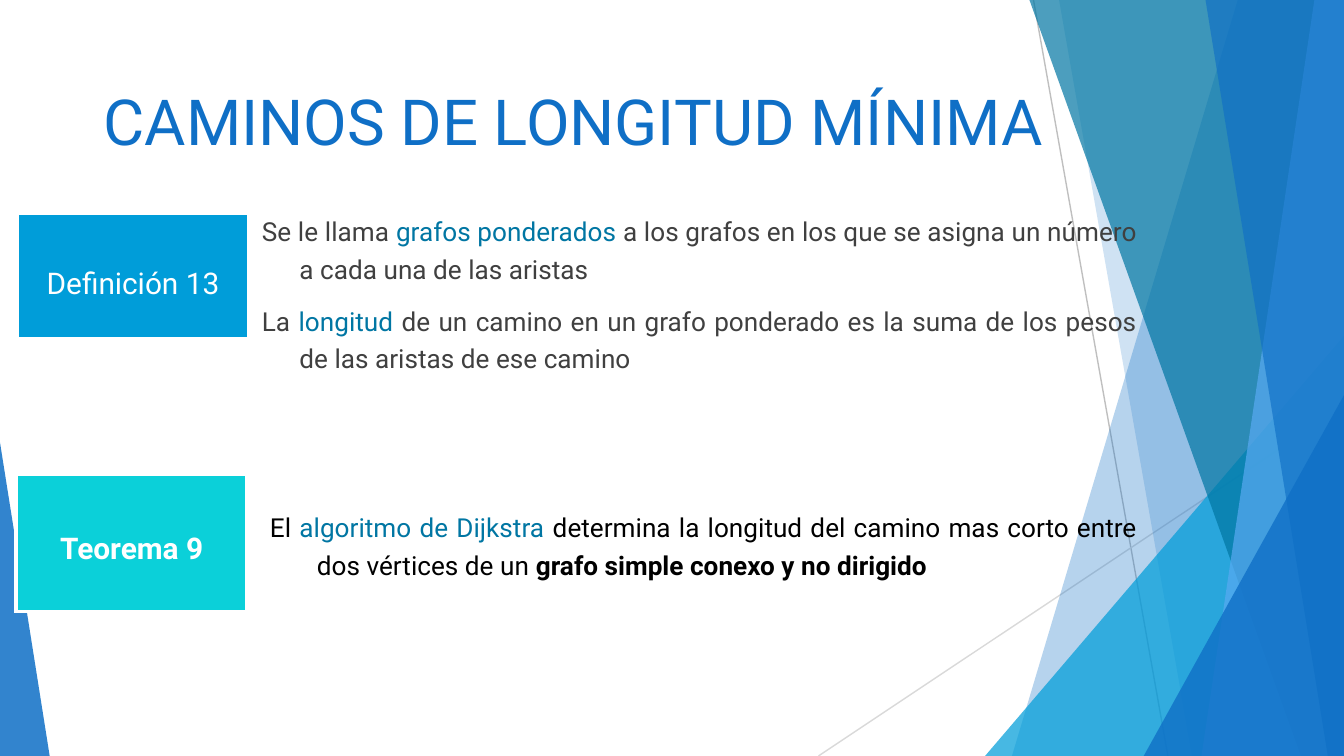
from dataclasses import dataclass

from lxml import etree
from pptx import Presentation
from pptx.dml.color import RGBColor
from pptx.enum.shapes import MSO_CONNECTOR, MSO_SHAPE
from pptx.enum.text import MSO_ANCHOR, PP_ALIGN
from pptx.oxml.ns import qn
from pptx.util import Inches, Pt


@dataclass(frozen=True)
class Theme:
    font: str = "Roboto"
    blue: str = "0F6FC6"
    sky: str = "009DD9"
    light_blue: str = "59AAF2"
    teal: str = "0076A3"
    turquoise: str = "0BD0D9"
    body: str = "404040"
    black: str = "000000"
    white: str = "FFFFFF"
    dark_rule: str = "BFBFBF"
    light_rule: str = "D9D9D9"
    title_size: int = 34
    label_size: int = 16
    body_size: int = 14


theme = Theme()
WIDTH = 10
HEIGHT = WIDTH * 9 / 16


def fill_shape(shape, color, opacity=100):
    """Fill a shape without line or shadow; opacity is in percent."""
    shape.shadow.inherit = False
    shape.line.fill.background()
    shape.fill.solid()
    shape.fill.fore_color.rgb = RGBColor.from_string(color)
    if opacity < 100:
        color_element = shape.fill._xPr.find(qn("a:solidFill"))[0]
        etree.SubElement(color_element, qn("a:alpha"), val=str(opacity * 1000))


def add_run(paragraph, text, size, color, bold=False):
    run = paragraph.add_run()
    run.text = text
    run.font.name = theme.font
    run.font.size = Pt(size)
    run.font.bold = bold
    run.font.color.rgb = RGBColor.from_string(color)


prs = Presentation()
prs.slide_width, prs.slide_height = Inches(WIDTH), Inches(HEIGHT)
slide = prs.slides.add_slide(prs.slide_layouts[5])
shapes = slide.shapes

# Backdrop: thin rules
for x1, y1, x2, y2, color in [
    (7.69, 0, 8.69, HEIGHT, theme.dark_rule),
    (WIDTH, 3.02, 6.09, HEIGHT, theme.light_rule),
]:
    rule = shapes.add_connector(
        MSO_CONNECTOR.STRAIGHT, Inches(x1), Inches(y1), Inches(x2), Inches(y2))
    rule.line.color.rgb = RGBColor.from_string(color)
    rule.line.width = Pt(0.75)
    etree.SubElement(rule._element.spPr, qn("a:effectLst"))

# Backdrop: a band has its left edge at the top and bottom of the slide;
# a corner has left, top, width and the position of its apex
for kind, geometry, color, opacity in [
    ("band", (9.21, 7.53), theme.blue, 30),
    ("band", (7.88, 8.87), theme.blue, 20),
    ("corner", (7.33, 2.5, 2.67, 1), theme.sky, 72),
    ("band", (7.66, 9.68), theme.teal, 70),
    ("band", (9.78, 8.94), theme.light_blue, 70),
    ("band", (8.97, 9.88), theme.blue, 65),
    ("corner", (8.51, 2.94, 1.49, 1), theme.blue, 80),
    ("corner", (0, 3.29, 0.37, 0), theme.blue, 85),
]:
    if kind == "band":
        top_x, bottom_x = geometry
        outline = shapes.build_freeform(Inches(top_x), 0)
        outline.add_line_segments([
            (Inches(WIDTH), 0),
            (Inches(WIDTH), Inches(HEIGHT)),
            (Inches(bottom_x), Inches(HEIGHT)),
        ])
        facet = outline.convert_to_shape()
    else:
        left, top, width, apex = geometry
        facet = shapes.add_shape(
            MSO_SHAPE.ISOSCELES_TRIANGLE, Inches(left), Inches(top),
            Inches(width), Inches(HEIGHT - top))
        facet.adjustments[0] = apex
    fill_shape(facet, color, opacity)

# Title, brought in front of the backdrop
title = shapes.title
shapes._spTree.append(title._element)
title.left, title.top = Inches(0.67), Inches(0.08)
title.width, title.height = Inches(8.83), Inches(1.15)
title.text_frame.vertical_anchor = MSO_ANCHOR.BOTTOM
title.text_frame.paragraphs[0].alignment = PP_ALIGN.LEFT
add_run(title.text_frame.paragraphs[0], "CAMINOS DE LONGITUD MÍNIMA",
        theme.title_size, theme.blue)

# Statements: box, hanging indent, paragraphs of (text, color, bold)
for box, indent, paragraphs in [
    ((1.85, 1.47, 6.71, 1.4), 0.28, [
        [("Se le llama ", theme.body, False),
         ("grafos ponderados ", theme.teal, False),
         ("a los grafos en los que se asigna un número a cada una de las aristas",
          theme.body, False)],
        [("La ", theme.body, False),
         ("longitud", theme.teal, False),
         (" de un camino en un grafo ponderado es la suma de los pesos "
          "de las aristas de ese camino", theme.body, False)],
    ]),
    ((1.91, 3.53, 6.65, 1.02), 0.35, [
        [("El ", theme.black, False),
         ("algoritmo de Dijkstra", theme.teal, False),
         (" determina la longitud del camino mas corto entre dos vértices de un ",
          theme.black, False),
         ("grafo simple conexo y no dirigido", theme.black, True)],
    ]),
]:
    frame = shapes.add_textbox(*map(Inches, box)).text_frame
    frame.word_wrap = True
    frame.vertical_anchor = MSO_ANCHOR.MIDDLE
    for index, runs in enumerate(paragraphs):
        paragraph = frame.add_paragraph() if index else frame.paragraphs[0]
        paragraph.alignment = PP_ALIGN.JUSTIFY
        paragraph.line_spacing = 1.2
        if index:
            paragraph.space_before = Pt(7.5)
        properties = paragraph._p.get_or_add_pPr()
        properties.set("marL", str(Inches(indent)))
        properties.set("indent", str(-Inches(indent)))
        for text, color, bold in runs:
            add_run(paragraph, text, theme.body_size, color, bold)

# Labels
for text, box, color, line_color, line_width, spacing, bold in [
    ("Teorema 9", (0.12, 3.53, 1.72, 1.02),
     theme.turquoise, theme.white, 2, 0.9, True),
    ("Definición 13", (0.17, 1.63, 1.64, 0.85),
     theme.sky, theme.sky, 4, 1.0, False),
]:
    label = shapes.add_shape(MSO_SHAPE.RECTANGLE, *map(Inches, box))
    fill_shape(label, color)
    label.line.color.rgb = RGBColor.from_string(line_color)
    label.line.width = Pt(line_width)
    etree.SubElement(label.line._ln, qn("a:miter"), lim="800000")
    frame = label.text_frame
    frame.word_wrap = True
    frame.vertical_anchor = MSO_ANCHOR.MIDDLE
    frame.margin_left = frame.margin_right = Inches(0.15)
    frame.margin_top, frame.margin_bottom = Inches(0.2), Inches(0.1)
    frame.paragraphs[0].alignment = PP_ALIGN.CENTER
    frame.paragraphs[0].line_spacing = spacing
    add_run(frame.paragraphs[0], text, theme.label_size, theme.white, bold)

prs.save("out.pptx")
